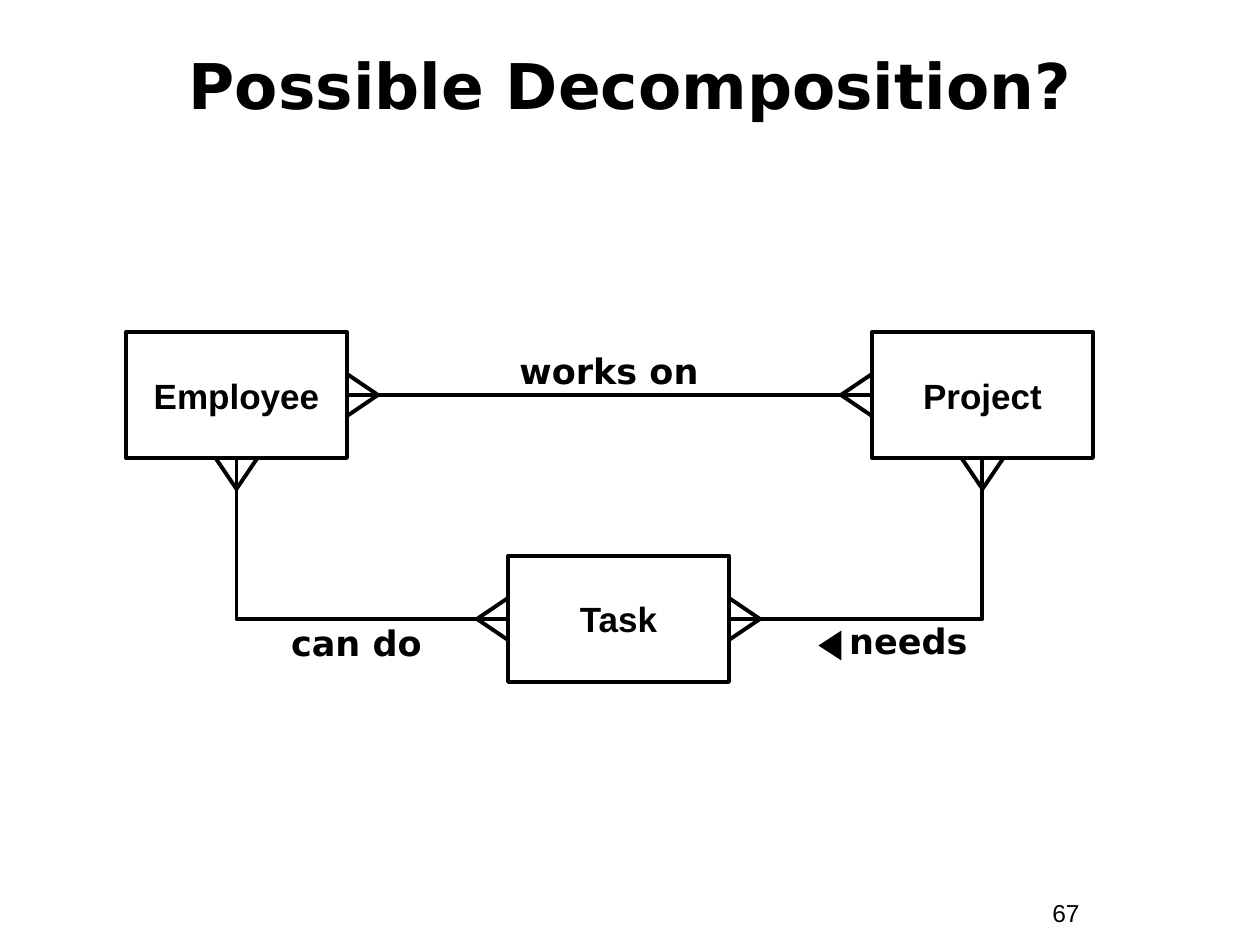
from pptx import Presentation
from pptx.dml.color import RGBColor
from pptx.enum.shapes import MSO_CONNECTOR, MSO_SHAPE
from pptx.enum.text import MSO_ANCHOR, PP_ALIGN
from pptx.oxml.ns import qn
from pptx.util import Pt
from lxml import etree

PX = 914400 / 126
BLACK = RGBColor(0, 0, 0)
LINE_WIDTH = Pt(2.25)
RECT, TRIANGLE = MSO_SHAPE.RECTANGLE, MSO_SHAPE.ISOSCELES_TRIANGLE
STRAIGHT, ELBOW = MSO_CONNECTOR.STRAIGHT, MSO_CONNECTOR.ELBOW
CENTER, LEFT_ALIGN = PP_ALIGN.CENTER, PP_ALIGN.LEFT
TOP, MIDDLE = MSO_ANCHOR.TOP, MSO_ANCHOR.MIDDLE
# Connection sites of a rectangle
LEFT, BOTTOM, RIGHT = 1, 2, 3

HEADING = {"name": "DejaVu Sans", "size": Pt(36), "bold": True}
LABEL = {"name": "DejaVu Sans", "size": Pt(20), "bold": True}
ENTITY = {"name": "Arial", "size": Pt(20), "bold": True}
NUMBER = {"name": "Arial", "size": Pt(14), "bold": False}

ENTITY_W, ENTITY_H = 221, 126
FOOT_LENGTH, FOOT_SPREAD = 31, 21


def emu(*lengths):
    return [round(n * PX) for n in lengths]


def write(tf, text, font, align=CENTER, anchor=MIDDLE, wrap=True, spacing=1.0):
    tf.word_wrap = wrap
    tf.vertical_anchor = anchor
    p = tf.paragraphs[0]
    p.alignment = align
    p.line_spacing = spacing
    r = p.add_run()
    r.text = text
    for name, value in font.items():
        setattr(r.font, name, value)
    r.font.color.rgb = BLACK


def add_title(s, box, text):
    sp = s.shapes.title
    sp.left, sp.top, sp.width, sp.height = emu(*box)
    write(sp.text_frame, text, HEADING)


def add_text(s, box, text, font, **layout):
    sp = s.shapes.add_textbox(*emu(*box))
    write(sp.text_frame, text, font, anchor=TOP, **layout)


def add_entity(s, x, y, text):
    sp = s.shapes.add_shape(RECT, *emu(x, y, ENTITY_W, ENTITY_H))
    sp.shadow.inherit = False
    sp.fill.background()
    sp.line.color.rgb = BLACK
    sp.line.width = LINE_WIDTH
    write(sp.text_frame, text, ENTITY, wrap=False)
    return sp


def add_line(s, kind, start=(0, 0), end=(0, 0)):
    line = s.shapes.add_connector(kind, *emu(*start, *end))
    line.line.color.rgb = BLACK
    line.line.width = LINE_WIDTH
    etree.SubElement(line._element.spPr, qn("a:effectLst"))
    return line


def add_crows_foot(s, x, y, side):
    """Two toes spreading from a tip to the entity side centred at x, y."""
    dx, dy = {LEFT: (-1, 0), RIGHT: (1, 0), BOTTOM: (0, 1)}[side]
    tip = (x + dx * FOOT_LENGTH, y + dy * FOOT_LENGTH)
    for spread in (-FOOT_SPREAD, FOOT_SPREAD):
        add_line(s, STRAIGHT, tip, (x + abs(dy) * spread, y + abs(dx) * spread))


def add_relation(s, kind, begin, begin_side, end, end_side):
    line = add_line(s, kind)
    line.begin_connect(begin, begin_side)
    line.end_connect(end, end_side)
    if kind == ELBOW:
        # A single corner instead of the default double bend
        line._element.spPr.find(qn("a:prstGeom")).set("prst", "bentConnector2")


def add_arrow(s, box):
    sp = s.shapes.add_shape(TRIANGLE, *emu(*box))
    sp.shadow.inherit = False
    sp.rotation = 270
    sp.fill.solid()
    sp.fill.fore_color.rgb = BLACK
    sp.line.fill.background()


def add_diagram(s, left, top):
    # Entities
    places = {"Employee": (left, top), "Project": (left + 746, top),
              "Task": (left + 382, top + 224)}
    entities = {name: add_entity(s, *at, name) for name, at in places.items()}

    # Relations with a crow's foot at both ends
    for kind, *ends in (
        (STRAIGHT, ("Employee", RIGHT), ("Project", LEFT)),
        (ELBOW, ("Task", LEFT), ("Employee", BOTTOM)),
        (ELBOW, ("Task", RIGHT), ("Project", BOTTOM)),
    ):
        (begin, begin_side), (end, end_side) = ends
        add_relation(s, kind, entities[begin], begin_side, entities[end], end_side)
        for name, side in ends:
            x, y = places[name]
            dx, dy = {LEFT: (0, ENTITY_H / 2), RIGHT: (ENTITY_W, ENTITY_H / 2),
                      BOTTOM: (ENTITY_W / 2, ENTITY_H)}[side]
            add_crows_foot(s, x + dx, y + dy, side)

    # Relation names and reading direction
    for text, x, y, w in (("works on", 315, 18, 336), ("can do", 136, 290, 189),
                          ("needs", 693, 288, 179)):
        add_text(s, (left + x, top + y, w, 49), text, LABEL, spacing=0.85)
    add_arrow(s, (left + 689, top + 302, 30, 23))


def main():
    prs = Presentation()
    prs.slide_width, prs.slide_height = emu(1260, 945)
    s = prs.slides.add_slide(prs.slide_layouts[5])
    add_title(s, (42, 42, 1176, 84), "Possible Decomposition?")
    add_diagram(s, 126, 332)
    add_text(s, (1040, 892, 116, 43), "67", NUMBER, align=LEFT_ALIGN)
    prs.save("out.pptx")


if __name__ == "__main__":
    main()
